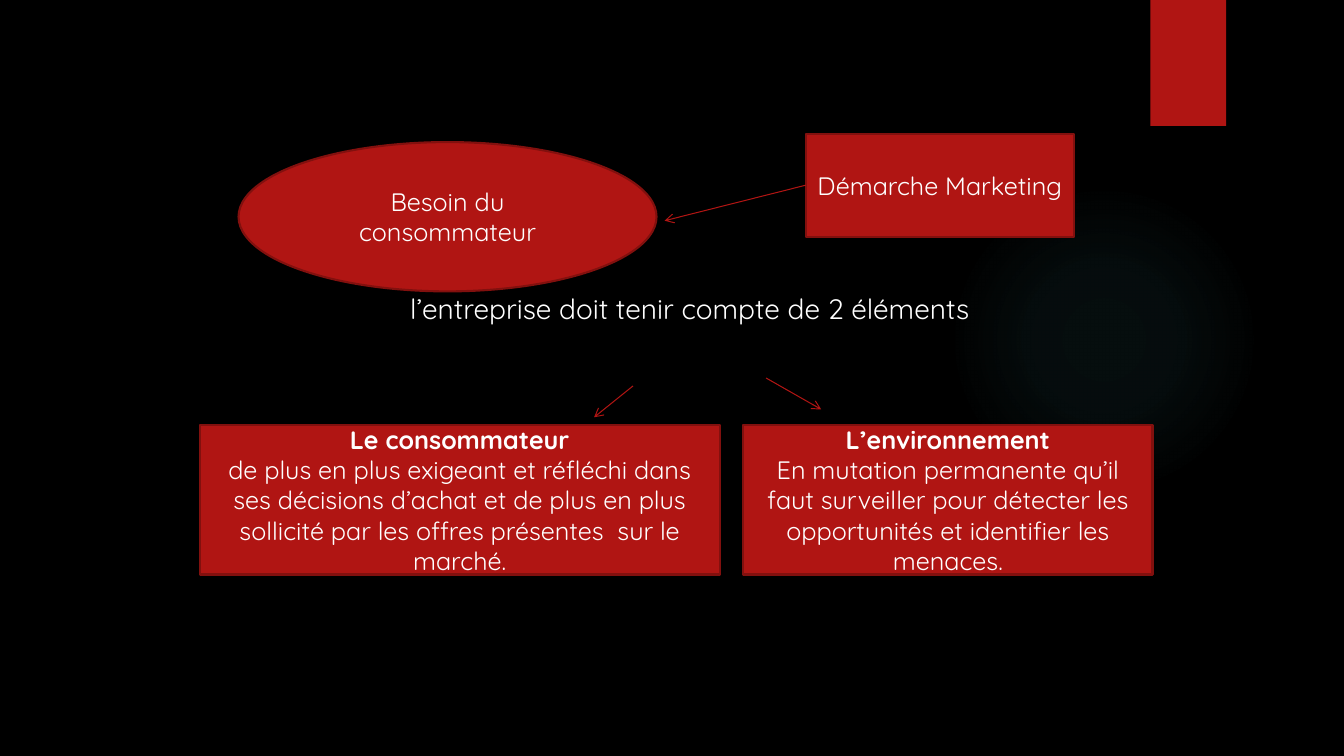
from lxml.etree import SubElement
from pptx import Presentation
from pptx.dml.color import RGBColor
from pptx.enum.shapes import MSO_CONNECTOR, MSO_SHAPE
from pptx.enum.text import MSO_ANCHOR, PP_ALIGN
from pptx.oxml.ns import qn
from pptx.util import Inches, Pt

BLACK, WHITE, RED, DARK_RED, TEAL = "000000", "FFFFFF", "B01513", "82100E", "50B9C1"


def color(hex_code):
    return RGBColor.from_string(hex_code)


class Deck:
    """Holds the style and the current slide; lengths are percent of the slide."""
    font = "Quicksand"

    def __init__(self):
        self.prs = Presentation()
        self.prs.slide_width, self.prs.slide_height = Inches(13.33), Inches(7.5)
        self.s = self.prs.slides.add_slide(self.prs.slide_layouts[6])
        fill = self.s.background.fill
        fill.solid()
        fill.fore_color.rgb = color(BLACK)

    def place(self, *percents):
        """Turn alternating x and y percentages into slide lengths."""
        sizes = (self.prs.slide_width, self.prs.slide_height)
        return [round(sizes[i % 2] * v / 100) for i, v in enumerate(percents)]

    def set_text(self, tf, paragraphs, size, bold_first=False):
        tf.word_wrap = True
        tf.vertical_anchor = MSO_ANCHOR.MIDDLE
        tf.text = "\n".join(paragraphs)
        for i, p in enumerate(tf.paragraphs):
            p.alignment = PP_ALIGN.CENTER
            for r in p.runs:
                r.font.name, r.font.size = self.font, Pt(size)
                r.font.color.rgb = color(WHITE)
                r.font.bold = bold_first and i == 0

    def shape(self, kind, box, outline=None):
        sp = self.s.shapes.add_shape(kind, *self.place(*box))
        sp.shadow.inherit = False
        sp.fill.solid()
        sp.fill.fore_color.rgb = color(RED)
        if outline:
            sp.line.color.rgb = color(outline)
            sp.line.width = Pt(1.5)
        else:
            sp.line.fill.background()
        return sp

    def card(self, kind, box, *paragraphs):
        """Outlined shape with text; a first of several paragraphs is a bold heading."""
        sp = self.shape(kind, box, DARK_RED)
        self.set_text(sp.text_frame, paragraphs, 18, len(paragraphs) > 1)

    def caption(self, box, text):
        sp = self.s.shapes.add_textbox(*self.place(*box))
        self.set_text(sp.text_frame, [text], 20)

    def arrow(self, *ends):
        line = self.s.shapes.add_connector(MSO_CONNECTOR.STRAIGHT, *self.place(*ends))
        line.line.color.rgb = color(RED)
        line.line.width = Pt(0.75)
        props = line._element.spPr
        SubElement(props.find(qn("a:ln")), qn("a:tailEnd"), type="arrow")
        SubElement(props, qn("a:effectLst"))

    def glow(self, box, stops):
        """Circle with a radial gradient of (position, opacity) percentages."""
        sp = self.shape(MSO_SHAPE.OVAL, box)
        sp.fill.gradient()
        grad = sp._element.spPr.find(qn("a:gradFill"))
        for child in list(grad):
            grad.remove(child)
        gs_list = SubElement(grad, qn("a:gsLst"))
        for position, opacity in stops:
            gs = SubElement(gs_list, qn("a:gs"), pos=str(position * 1000))
            clr = SubElement(gs, qn("a:srgbClr"), val=TEAL)
            SubElement(clr, qn("a:alpha"), val=str(opacity * 1000))
        radial = SubElement(grad, qn("a:path"), path="circle")
        SubElement(radial, qn("a:fillToRect"), dict.fromkeys("ltrb", "50000"))


def main():
    deck = Deck()
    deck.glow((70.6, 24.4, 23.1, 41.07), [(0, 7), (36, 6), (69, 0)])
    deck.shape(MSO_SHAPE.RECTANGLE, (85.6, 0, 5.63, 16.67))

    deck.caption((25.84, 37.4, 51, 6.67), "l’entreprise doit tenir compte de 2 éléments")
    deck.card(MSO_SHAPE.OVAL, (17.75, 18.8, 31.1, 19.75), "Besoin du consommateur")
    deck.card(MSO_SHAPE.RECTANGLE, (59.95, 17.7, 19.95, 13.6), "Démarche Marketing")
    deck.arrow(59.95, 24.5, 49.45, 29.2)

    top, height = 56.25, 19.75
    deck.card(MSO_SHAPE.RECTANGLE, (14.85, top, 38.7, height), "Le consommateur",
              "de plus en plus exigeant et réfléchi dans ses décisions d’achat et de plus "
              "en plus sollicité par les offres présentes  sur le marché.")
    deck.card(MSO_SHAPE.FLOWCHART_PROCESS, (55.3, top, 30.45, height), "L’environnement",
              "En mutation permanente qu’il faut surveiller pour détecter les opportunités "
              "et identifier les menaces.")
    deck.arrow(47.1, 51.05, 44.2, 55.2)
    deck.arrow(57, 50, 61.1, 54.15)
    deck.prs.save("out.pptx")


if __name__ == "__main__":
    main()
